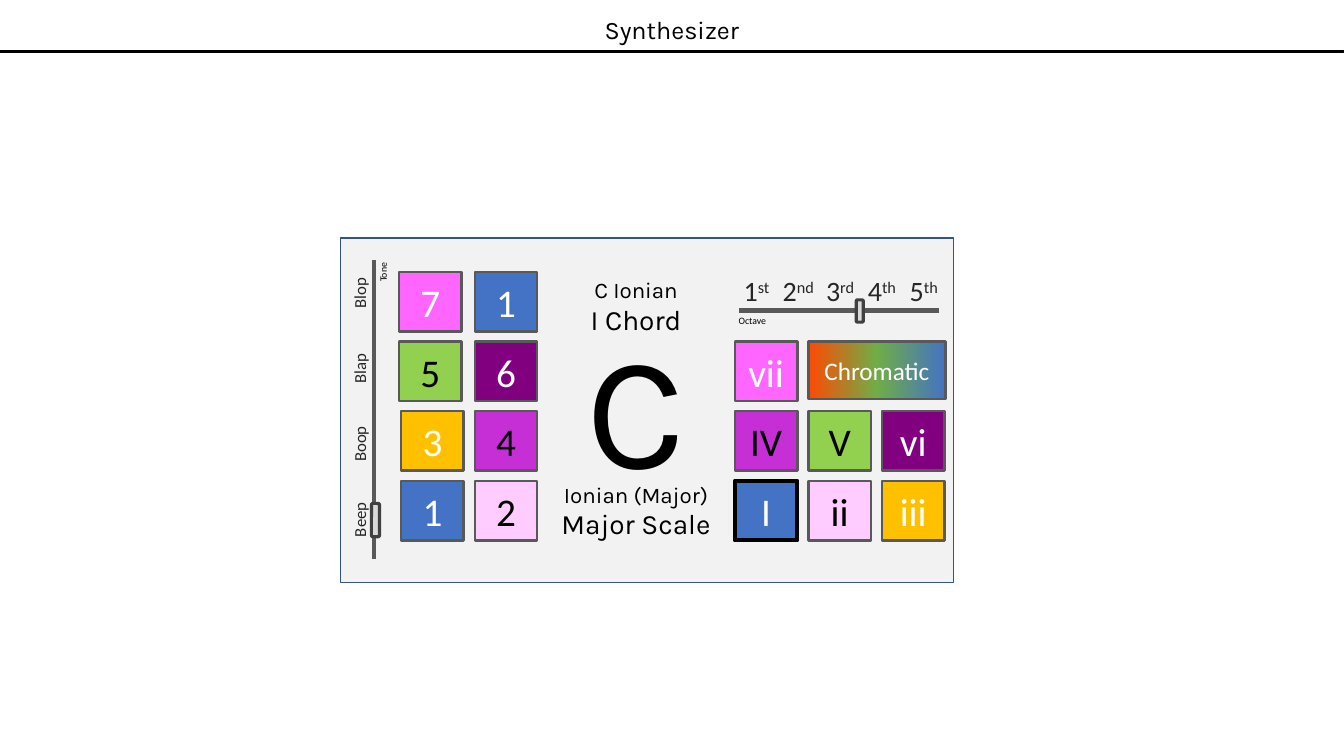
from copy import deepcopy

from lxml.etree import SubElement
from pptx import Presentation
from pptx.dml.color import RGBColor
from pptx.enum.shapes import MSO_CONNECTOR, MSO_SHAPE
from pptx.enum.text import MSO_ANCHOR, PP_ALIGN
from pptx.oxml.ns import qn
from pptx.util import Inches, Pt

COLUMNS, ROWS = 160, 90
CELL = Inches(1) // 12
DEGREES = {
    1: ("4472C4", "FFFFFF"),
    2: ("FFCCFF", "000000"),
    3: ("FFC000", "FFFFFF"),
    4: ("C62ED6", "000000"),
    5: ("92D050", "000000"),
    6: ("800080", "FFFFFF"),
    7: ("FF66FF", "FFFFFF"),
}
NOTE_ROWS = [(47.52, 7, 1), (47.52, 5, 6), (47.76, 3, 4), (47.76, 1, 2)]
CHORD_ROWS = {1: [(7, "vii")], 2: [(4, "IV"), (5, "V"), (6, "vi")],
              3: [(1, "I"), (2, "ii"), (3, "iii")]}
PAD_TOP, PAD_STEP = 32.4, 8.28
READOUTS = [
    ("Major Scale", 59.76, 5.28, 20),
    ("Ionian (Major)", 56.64, 4.44, 16),
    ("C", 36, 24.48, 115),
    ("I Chord", 35.4, 5.28, 20),
    ("C Ionian", 32.28, 4.44, 16),
]


def colour(code):
    return RGBColor.from_string(code)


class Board:
    """Draws styled elements on a slide grid of twelfths of an inch."""

    def __init__(self, slide):
        self.shapes = slide.shapes
        self.text_font = "Calibri"
        self.display_font = "Karla"
        self.edge = "595959"

    def place(self, *cells):
        return [round(cell * CELL) for cell in cells]

    def block(self, area, fill, edge, weight, kind=MSO_SHAPE.RECTANGLE):
        block = self.shapes.add_shape(kind, *self.place(*area))
        block.shadow.inherit = False
        block.fill.solid()
        block.fill.fore_color.rgb = colour(fill)
        block.line.color.rgb = colour(edge)
        block.line.width = Pt(weight)
        return block

    def letter(self, frame, words, size, ink, font, align=PP_ALIGN.CENTER,
               anchor=MSO_ANCHOR.MIDDLE, raised=""):
        for name, value in {"word_wrap": True, "vertical_anchor": anchor}.items():
            setattr(frame, name, value)
        line = frame.paragraphs[0]
        line.alignment = align
        for part in filter(None, (words, raised)):
            run = line.add_run()
            run.text = part
            for name, value in {"size": Pt(size), "name": font}.items():
                setattr(run.font, name, value)
            run.font.color.rgb = colour(ink)
        if raised:
            run._r.get_or_add_rPr().set("baseline", "30000")

    def label(self, area, words, size, ink="000000", font=None, turn=0, **style):
        label = self.shapes.add_textbox(*self.place(*area))
        label.rotation = turn
        self.letter(label.text_frame, words, size, ink, font or self.text_font, **style)

    def readout(self, area, words, size):
        self.label(area, words, size, font=self.display_font, anchor=MSO_ANCHOR.TOP)

    def pad(self, left, row, degree, words, width=7.44, height=7.08, size=28,
            edge=None, weight=1.75):
        fill, ink = DEGREES[degree]
        area = (left, PAD_TOP + row * PAD_STEP, width, height)
        pad = self.block(area, fill, edge or self.edge, weight)
        self.letter(pad.text_frame, words, size, ink, self.text_font)
        return pad

    def blend(self, block, stops):
        block.fill.gradient()
        block.fill.gradient_angle = 180
        stop_list = block.element.spPr.find(qn("a:gradFill")).find(qn("a:gsLst"))
        stop_list.append(deepcopy(stop_list[-1]))
        for stop, (position, code) in zip(block.fill.gradient_stops, stops):
            stop.position = position
            stop.color.rgb = colour(code)

    def track(self, start, end):
        track = self.shapes.add_connector(
            MSO_CONNECTOR.STRAIGHT, *self.place(*start, *end))
        track.line.color.rgb = colour(self.edge)
        track.line.width = Pt(3.5)
        SubElement(track.element.spPr, qn("a:effectLst"))

    def knob(self, area):
        self.block(area, "D9D9D9", "404040", 2.25, MSO_SHAPE.ROUNDED_RECTANGLE)


def draw_octave_slider(board):
    board.label((86.76, 36.84, 5.76, 2.64), "Octave", 7, align=PP_ALIGN.LEFT)
    board.track((111.84, 36.96), (87.96, 36.96))
    board.knob((101.94, 35.7, 0.84, 2.64))
    for octave, suffix in enumerate(("st", "nd", "rd", "th", "th")):
        area = (86.58 + octave * 4.98, 32.46, 6.96, 4.2)
        board.label(area, str(octave + 1), 20, "262626", raised=suffix)


def draw_tone_slider(board):
    for step, tone in enumerate(("Blop", "Blap", "Boop", "Beep")):
        area = (38.76, 32.88 + step * 9, 8.04, 3.96)
        board.label(area, tone, 12, "262626", turn=270)
    board.label((40.44, 33.96, 10.32, 2.64), "Tone", 7, turn=270,
                align=PP_ALIGN.RIGHT)
    board.track((44.52, 30.96), (44.52, 66.6))
    board.knob((44.22, 59.94, 0.96, 3.96))


def draw_pads(board):
    for row, (left, first, second) in enumerate(NOTE_ROWS):
        board.pad(left, row, first, str(first))
        board.pad(56.52, row, second, str(second))
    for row, chords in CHORD_ROWS.items():
        for column, (degree, numeral) in enumerate(chords):
            active = {"edge": "000000", "weight": 3} if numeral == "I" else {}
            board.pad(87.48 + column * 8.76, row, degree, numeral, **active)
    chromatic = board.pad(96.24, 1, 1, "Chromatic", 16.32, 6.84, 18)
    board.blend(chromatic, [(0, "4472C4"), (0.5, "70AD47"), (1, "FD4A03")])


def main():
    deck = Presentation()
    deck.slide_width, deck.slide_height = COLUMNS * CELL, ROWS * CELL
    board = Board(deck.slides.add_slide(deck.slide_layouts[6]))
    board.block((40.56, 28.32, 72.96, 41.04), "F2F2F2", "325491", 1)
    board.block((0, 6, COLUMNS, 0.24), "000000", "000000", 0.75)
    draw_octave_slider(board)
    for words, top, height, size in READOUTS:
        board.readout((62.88, top, 25.68, height), words, size)
    board.readout((3.48, 1.08, 153, 4.8), "Synthesizer", 18)
    draw_pads(board)
    draw_tone_slider(board)
    deck.save("out.pptx")


if __name__ == "__main__":
    main()
